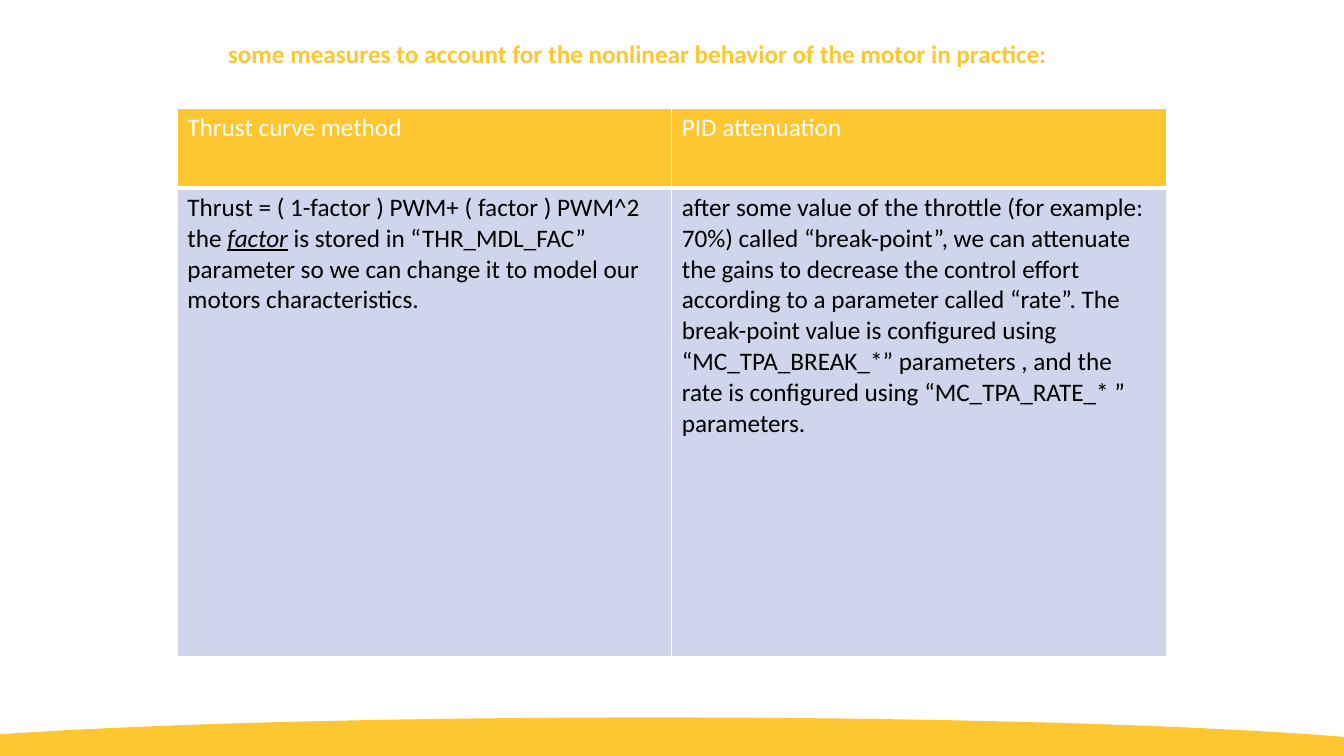
from lxml import etree
from pptx import Presentation
from pptx.dml.color import RGBColor
from pptx.enum import text
from pptx.oxml import ns
from pptx.util import Cm, Pt

GOLD = RGBColor(0xFE, 0xC6, 0x30)
PALE_BLUE = RGBColor(0xCF, 0xD5, 0xEA)
WHITE = RGBColor(0xFF, 0xFF, 0xFF)
BLACK = RGBColor(0, 0, 0)
FONT = "Calibri"
SIZE = Pt(18)

TITLE = "some measures to account for the nonlinear behavior of the motor in practice:"
# Each cell is a list of (words, emphasised) runs; "\n" is a line break.
ROWS = [
    [
        [("Thrust curve method", False)],
        [("PID attenuation", False)],
    ],
    [
        [
            ("Thrust = ( 1-factor ) PWM+ ( factor ) PWM^2 \nthe ", False),
            ("factor", True),
            (" is stored in “THR_MDL_FAC” parameter so we can change it to model "
             "our motors characteristics.", False),
        ],
        [("after some value of the throttle (for example: 70%) called “break-point”, "
          "we can attenuate the gains to decrease the control effort according to a "
          "parameter called “rate”. The break-point value is configured using "
          "“MC_TPA_BREAK_*” parameters , and the rate is configured using "
          "“MC_TPA_RATE_* ” parameters.", False)],
    ],
]
# Fill, text colour, height in cm and bottom border in points of each row
ROW_STYLES = [(GOLD, WHITE, 2.01, 3), (PALE_BLUE, BLACK, 11.81, 1)]
COLUMN_WIDTH = 12.46

# Band at the foot, in cm: base corners and two Bezier curves
BAND_BASE = [(36.5, 19.05), (-3.51, 19.05)]
BAND_CURVES = [
    [(-3.4, 18.95), (-2.39, 18.47), (6.15, 18.08), (16.51, 18.08)],
    [(16.51, 18.08), (26.87, 18.08), (35.38, 18.47), (36.4, 18.95)],
]
CURVE_STEPS = 40


def bezier(points, t):
    weights = ((1 - t) ** 3, 3 * t * (1 - t) ** 2, 3 * t * t * (1 - t), t ** 3)
    return tuple(sum(w * pt[axis] for w, pt in zip(weights, points)) for axis in (0, 1))


def add_run(p, words, color, bold=False, emphasised=False):
    r = p.add_run()
    r.text = words
    r.font.name, r.font.size, r.font.bold = FONT, SIZE, bold
    r.font.color.rgb = color
    if emphasised:
        r.font.italic = r.font.underline = True


def add_borders(cell, bottom):
    tc_pr = cell._tc.get_or_add_tcPr()
    for i, (side, width) in enumerate((("L", 1), ("R", 1), ("T", 1), ("B", bottom))):
        ln = etree.Element(ns.qn(f"a:ln{side}"), w=str(Pt(width)))
        fill = etree.SubElement(ln, ns.qn("a:solidFill"))
        etree.SubElement(fill, ns.qn("a:srgbClr"), val=str(WHITE))
        tc_pr.insert(i, ln)


prs = Presentation()
prs.slide_width, prs.slide_height = Cm(33.87), Cm(19.05)
s = prs.slides.add_slide(prs.slide_layouts[5])

title = s.shapes.title
title.left, title.top, title.width, title.height = Cm(5.49), Cm(0.84), Cm(22.86), Cm(1.02)
tf = title.text_frame
tf.word_wrap = True
tf.auto_size = text.MSO_AUTO_SIZE.SHAPE_TO_FIT_TEXT
tf.vertical_anchor = text.MSO_ANCHOR.TOP
p = tf.paragraphs[0]
p.alignment = text.PP_ALIGN.LEFT
add_run(p, TITLE, GOLD, bold=True)

table = s.shapes.add_table(
    len(ROWS), len(ROWS[0]), Cm(4.47), Cm(2.72),
    Cm(COLUMN_WIDTH * len(ROWS[0])), Cm(sum(style[2] for style in ROW_STYLES))).table
for column in table.columns:
    column.width = Cm(COLUMN_WIDTH)
for row, contents, (fill, color, height, bottom) in zip(table.rows, ROWS, ROW_STYLES):
    row.height = Cm(height)
    for cell, runs in zip(row.cells, contents):
        cell.fill.solid()
        cell.fill.fore_color.rgb = fill
        add_borders(cell, bottom)
        p = cell.text_frame.paragraphs[0]
        for words, emphasised in runs:
            for i, line in enumerate(words.split("\n")):
                if i:
                    p.add_line_break()
                add_run(p, line, color, emphasised=emphasised)

outline = BAND_BASE + [bezier(curve, i / CURVE_STEPS)
                       for curve in BAND_CURVES for i in range(CURVE_STEPS + 1)]
outline = [(Cm(x), Cm(y)) for x, y in outline]
builder = s.shapes.build_freeform(*outline[0])
builder.add_line_segments(outline[1:], close=True)
band = builder.convert_to_shape()
band.shadow.inherit = False
band.fill.solid()
band.fill.fore_color.rgb = GOLD
band.line.fill.background()

prs.save("out.pptx")
